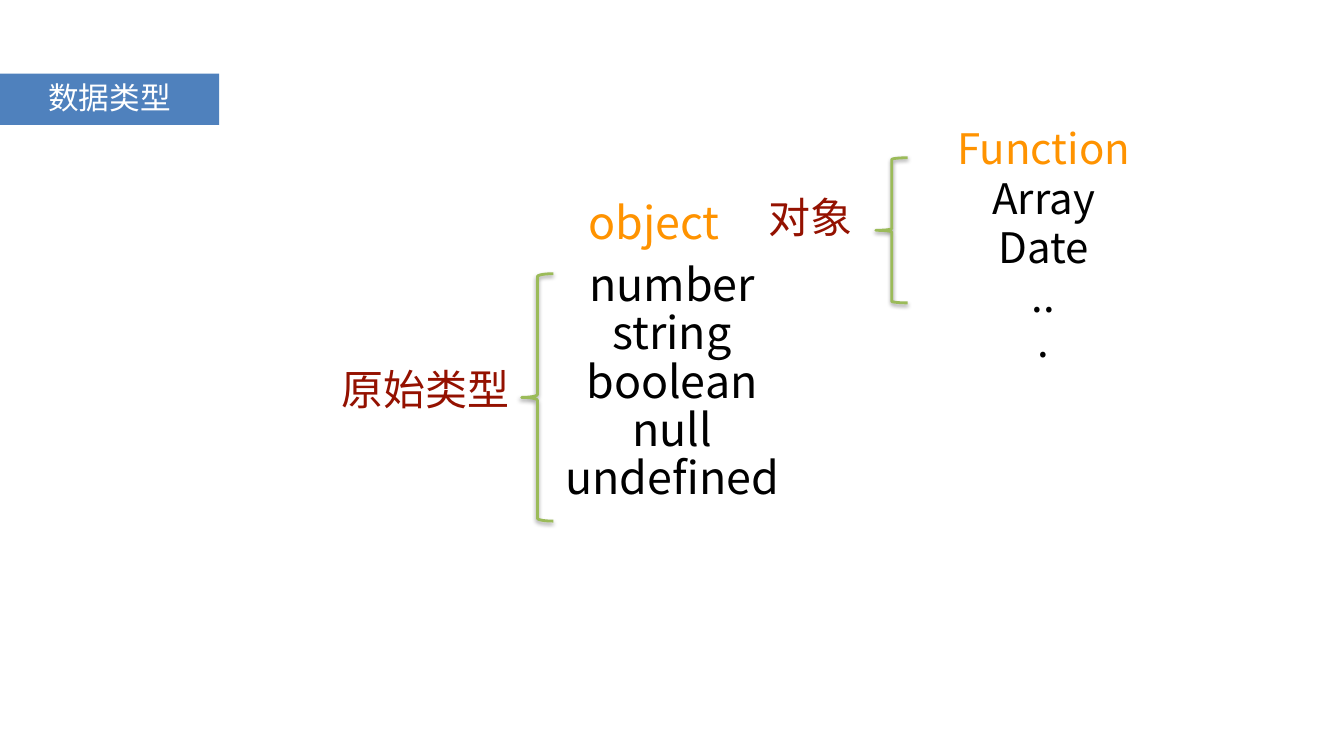
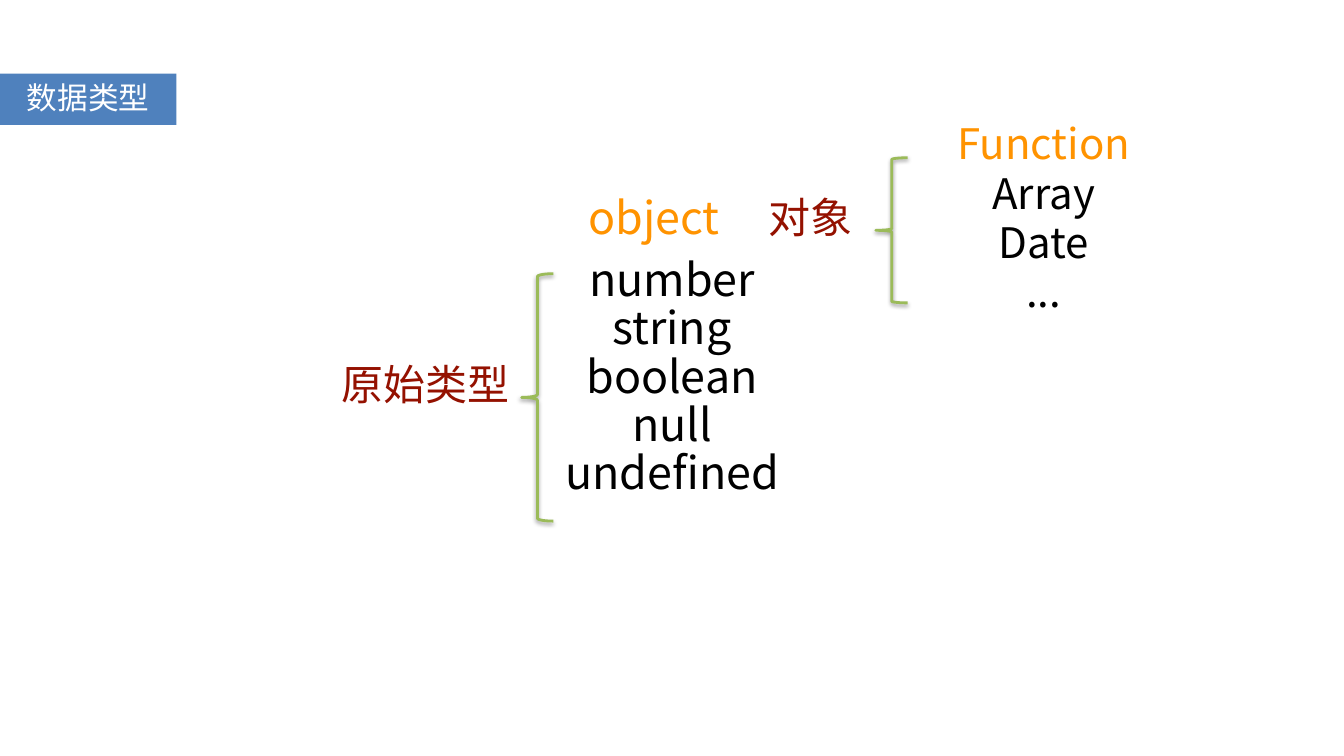
from lxml.etree import SubElement
from pptx import Presentation
from pptx.dml.color import RGBColor
from pptx.enum.shapes import MSO_SHAPE
from pptx.enum.text import MSO_ANCHOR, MSO_AUTO_SIZE, PP_ALIGN
from pptx.oxml import parse_xml
from pptx.oxml.ns import nsdecls, qn
from pptx.util import Inches, Pt

FONT = "Noto Sans CJK SC"
BLUE, GREEN, RED, ORANGE = "4F81BD", "9BBB59", "941100", "FF9300"
BLACK, WHITE = "000000", "FFFFFF"

TITLE = "数据类型"
PRIMITIVES = ["number", "string", "boolean", "null", "undefined"]
CLASSES = [("Function", 3.68, ORANGE), ("Array", 2.34, BLACK), ("Date", 2.09, BLACK), ("...", 0.82, BLACK)]
CLASS_CENTER, CLASS_TOP, CLASS_STEP = 20.71, 2.45, 0.977
BRACES = [((10.35, 5.43, 0.63, 4.91), 0.09), ((17.38, 3.13, 0.63, 2.88), 0.055)]
PAGES = [{"band_width": 4.35, "inset": 0.1}, {"band_width": 3.5, "inset": 0}]

SHADOW = (
    f'<a:effectLst {nsdecls("a")}><a:outerShdw blurRad="{Pt(6)}" dist="{Pt(3)}" dir="5400000" '
    f'rotWithShape="0"><a:srgbClr val="{BLACK}"><a:alpha val="38000"/></a:srgbClr>'
    "</a:outerShdw></a:effectLst>"
)


def color(value):
    return RGBColor.from_string(value)


def write(shape, lines, size=60, ink=BLACK, inset=0, wrap=True):
    frame = shape.text_frame
    frame.word_wrap = wrap
    frame.margin_left = frame.margin_right = Inches(inset)
    frame.margin_top = frame.margin_bottom = Inches(inset)
    for index, line in enumerate(lines):
        para = frame.add_paragraph() if index else frame.paragraphs[0]
        para.alignment = PP_ALIGN.CENTER
        para.line_spacing = 0.9
        span = para.add_run()
        span.text = line
        span.font.size = Pt(size)
        span.font.color.rgb = color(ink)
        span.font.name = FONT
        SubElement(span.font._element, qn("a:ea")).set("typeface", FONT)


def add_text(page, place, lines, **style):
    box = page.shapes.add_textbox(*map(Inches, place))
    write(box, lines, **style)
    box.text_frame.auto_size = MSO_AUTO_SIZE.SHAPE_TO_FIT_TEXT


def add_band(page, width):
    band = page.shapes.add_shape(MSO_SHAPE.RECTANGLE, *map(Inches, (0, 1.46, width, 1.02)))
    band.shadow.inherit = False
    band.fill.solid()
    band.fill.fore_color.rgb = color(BLUE)
    band.line.fill.background()
    write(band, [TITLE], size=43.8, ink=WHITE)
    band.text_frame.vertical_anchor = MSO_ANCHOR.MIDDLE


def add_brace(page, place, curve):
    brace = page.shapes.add_shape(MSO_SHAPE.LEFT_BRACE, *map(Inches, place))
    brace.adjustments[0] = curve
    brace.fill.background()
    brace.line.color.rgb = color(GREEN)
    brace.line.width = Pt(4)
    brace._element.spPr.append(parse_xml(SHADOW))


def build_page(deck, band_width, inset):
    page = deck.slides.add_slide(deck.slide_layouts[6])
    add_text(page, (11.01, 5.11, 4.65, 5.63), PRIMITIVES, size=64, inset=inset)
    add_text(page, (6.57, 7.23, 3.74, 1.3), ["原始类型"], ink=RED, inset=inset)
    add_text(page, (11.54, 3.89, 2.87, 1.38), ["object"], size=64, ink=ORANGE, inset=inset, wrap=False)
    add_text(page, (14.21, 3.92, 3.74, 1.3), ["对象"], ink=RED)
    add_band(page, band_width)
    for place, curve in BRACES:
        add_brace(page, place, curve)
    for row, (name, width, ink) in enumerate(CLASSES):
        place = (CLASS_CENTER - width / 2, CLASS_TOP + row * CLASS_STEP, width, 1.3)
        add_text(page, place, [name], ink=ink, inset=inset, wrap=False)


def main():
    """Build the two data type slides and save the deck."""
    deck = Presentation()
    deck.slide_width, deck.slide_height = Inches(26.67), Inches(15)
    for settings in PAGES:
        build_page(deck, **settings)
    deck.save("out.pptx")


if __name__ == "__main__":
    main()
